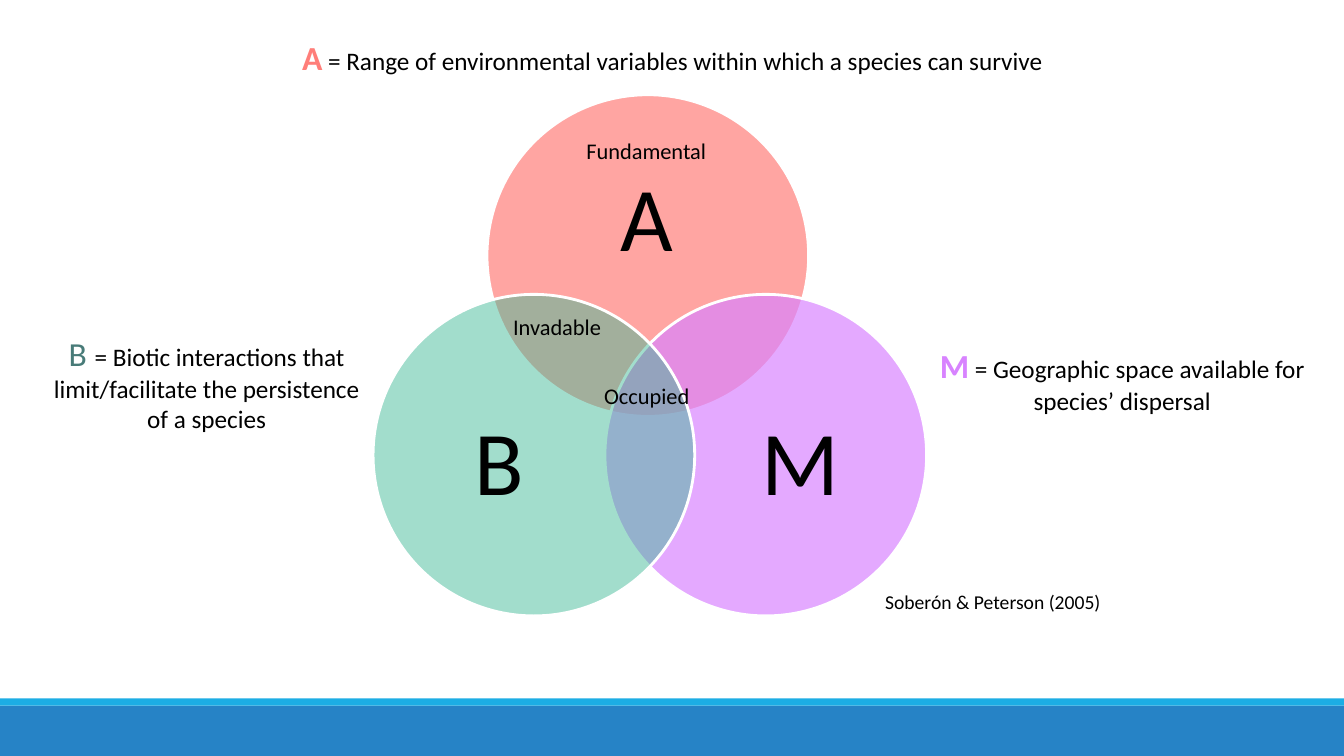
from dataclasses import dataclass

import pptx
import pptx.dml.color
import pptx.enum.shapes
import pptx.enum.text
import pptx.oxml.ns
import pptx.util
from lxml import etree
from pptx.dml.color import RGBColor
from pptx.util import Inches

BLACK = RGBColor(0x00, 0x00, 0x00)
WHITE = RGBColor(0xFF, 0xFF, 0xFF)
CORAL = RGBColor(0xFF, 0x7E, 0x79)
VIOLET = RGBColor(0xD8, 0x83, 0xFF)
GREEN = RGBColor(0x42, 0xBA, 0x97)
TEAL = RGBColor(0x48, 0x7B, 0x78)
BLUE = RGBColor(0x26, 0x83, 0xC6)
CYAN = RGBColor(0x1C, 0xAD, 0xE4)

FONT = "Calibri"
DIAMETER = 3.19
CENTER = pptx.enum.text.PP_ALIGN.CENTER
LEFT = pptx.enum.text.PP_ALIGN.LEFT

Box = tuple[float, float, float, float]


@dataclass
class Run:
    text: str
    size: float
    color: RGBColor = BLACK
    bold: bool = False


@dataclass
class Circle:
    letter: str
    left: float
    top: float
    color: RGBColor
    opacity: int
    letter_box: Box


@dataclass
class Caption:
    box: Box
    runs: list[Run]
    align: pptx.enum.text.PP_ALIGN = CENTER


BANDS = [((0, 7, 13.33, 0.5), BLUE), ((0, 6.93, 13.33, 0.07), CYAN)]

CIRCLES = [
    Circle("A", 4.83, 0.94, CORAL, 69, (5.25, 1.49, 2.34, 1.43)),
    Circle("M", 6, 2.92, VIOLET, 69, (6.98, 3.75, 1.91, 1.75)),
    Circle("B", 3.7, 2.92, GREEN, 49, (4, 3.75, 1.91, 1.75)),
]

CAPTIONS = [
    Caption((8.68, 5.8, 2.45, 0.34), [Run("Soberón & Peterson (2005)", 14)], LEFT),
    Caption((2.29, 0.32, 8.76, 0.5), [
        Run("A", 24, CORAL, True),
        Run(" = Range of environmental variables within which a species can survive", 18),
    ]),
    Caption((9.19, 3.37, 3.88, 1.11), [
        Run("M", 24, VIOLET, True),
        Run(" = Geographic space available for species’ dispersal", 18),
    ]),
    Caption((4.59, 3.06, 1.87, 0.37), [Run("Invadable", 16)]),
    Caption((5.24, 1.31, 2.34, 0.37), [Run("Fundamental", 16)]),
    Caption((5.53, 3.74, 1.77, 0.37), [Run("Occupied", 16)]),
    Caption((0.4, 3.25, 3.3, 1.41), [
        Run("B ", 24, TEAL),
        Run("= Biotic interactions that limit/facilitate the persistence of a species", 18),
    ]),
]


def add_filled(s: pptx.slide.Slide, kind: pptx.enum.shapes.MSO_SHAPE, box: Box,
               color: RGBColor) -> pptx.shapes.autoshape.Shape:
    sp = s.shapes.add_shape(kind, *map(Inches, box))
    sp.shadow.inherit = False
    sp.fill.solid()
    sp.fill.fore_color.rgb = color
    sp.line.fill.background()
    return sp


def add_text(s: pptx.slide.Slide, box: Box, runs: list[Run],
             align: pptx.enum.text.PP_ALIGN = CENTER) -> pptx.text.text.TextFrame:
    tf = s.shapes.add_textbox(*map(Inches, box)).text_frame
    tf.word_wrap = True
    p = tf.paragraphs[0]
    p.alignment = align
    for run in runs:
        r = p.add_run()
        r.text = run.text
        r.font.name = FONT
        r.font.size = pptx.util.Pt(run.size)
        r.font.bold = run.bold
        r.font.color.rgb = run.color
    return tf


def add_circle(s: pptx.slide.Slide, circle: Circle) -> None:
    """Draw a translucent circle with its large letter on top."""
    sp = add_filled(s, pptx.enum.shapes.MSO_SHAPE.OVAL,
                    (circle.left, circle.top, DIAMETER, DIAMETER), circle.color)
    qn = pptx.oxml.ns.qn
    color = sp.fill._xPr.find(qn("a:solidFill")).find(qn("a:srgbClr"))
    etree.SubElement(color, qn("a:alpha")).set("val", str(circle.opacity * 1000))
    sp.line.color.rgb = WHITE
    sp.line.width = pptx.util.Pt(2)

    tf = add_text(s, circle.letter_box, [Run(circle.letter, 65)])
    tf.margin_left = tf.margin_right = tf.margin_top = tf.margin_bottom = 0
    tf.vertical_anchor = pptx.enum.text.MSO_ANCHOR.MIDDLE
    tf.paragraphs[0].line_spacing = 0.9


def main() -> None:
    prs = pptx.Presentation()
    prs.slide_width = Inches(13.33)
    prs.slide_height = Inches(7.5)
    s = prs.slides.add_slide(prs.slide_layouts[6])
    for box, color in BANDS:
        add_filled(s, pptx.enum.shapes.MSO_SHAPE.RECTANGLE, box, color)
    for circle in CIRCLES:
        add_circle(s, circle)
    for caption in CAPTIONS:
        add_text(s, caption.box, caption.runs, caption.align)
    prs.save("out.pptx")


if __name__ == "__main__":
    main()
